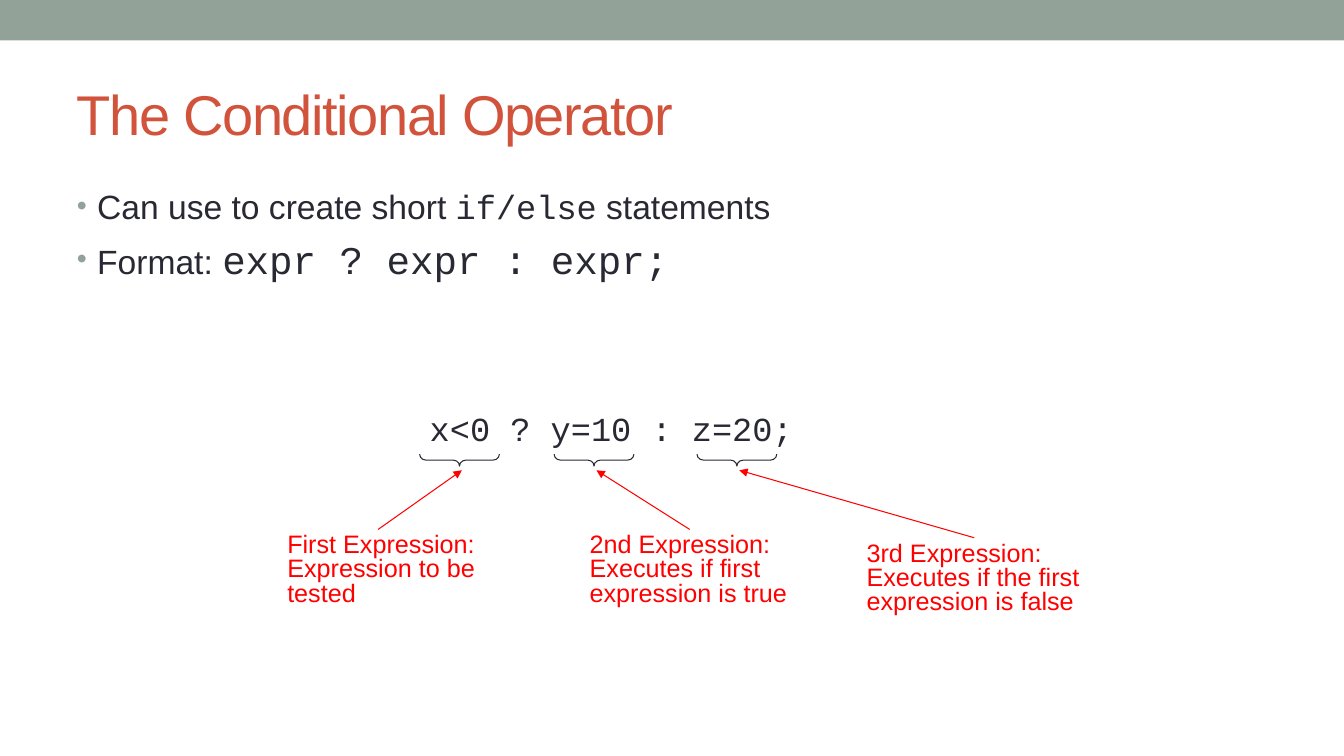
from dataclasses import dataclass
from typing import NamedTuple

from pptx import Presentation
from pptx.dml.color import RGBColor
from pptx.enum.shapes import MSO_CONNECTOR, MSO_SHAPE
from pptx.enum.text import MSO_ANCHOR
from pptx.oxml.ns import qn
from pptx.oxml.xmlchemy import OxmlElement
from pptx.shapes.autoshape import Shape
from pptx.slide import Slide
from pptx.text.text import Font
from pptx.util import Cm, Pt


@dataclass(frozen=True)
class Theme:
    band: str = "93A299"
    title: str = "D2533C"
    body: str = "292934"
    note: str = "FF0000"
    sans: str = "Arial"
    mono: str = "Courier New"
    title_size: int = 40
    body_size: int = 24
    format_size: int = 28
    note_size: int = 18
    line_width: float = 0.75


class Frame(NamedTuple):
    left: float
    top: float
    width: float
    height: float


class Piece(NamedTuple):
    text: str
    typeface: str
    size: int


class Operand(NamedTuple):
    brace_left: float
    note_frame: Frame
    note_lines: tuple[str, ...]


THEME = Theme()
SLIDE_WIDTH, SLIDE_HEIGHT = 33.87, 19.05
BRACE_TOP, BRACE_DEPTH, BRACE_SPAN = 10.59, 0.3, 2.01
TIP_OFFSET, TIP_TOP = 0.21, 11.85

BULLETS = (
    (
        Piece("Can use to create short ", THEME.sans, THEME.body_size),
        Piece("if/else", THEME.mono, THEME.body_size),
        Piece(" statements", THEME.sans, THEME.body_size),
    ),
    (
        Piece("Format: ", THEME.sans, THEME.body_size),
        Piece("expr ? expr : expr;", THEME.mono, THEME.format_size),
    ),
)

OPERANDS = (
    Operand(11.43, Frame(6.99, 13.34, 5.08, 2.12),
            ("First Expression:", "Expression to be", "tested")),
    Operand(14.82, Frame(14.61, 13.34, 5.54, 2.12),
            ("2nd Expression:", "Executes if first", "expression is true")),
    Operand(18.42, Frame(21.59, 13.55, 5.92, 2.12),
            ("3rd Expression:", "Executes if the first", "expression is false")),
)


def style_font(font: Font, typeface: str, size: int, color: str) -> None:
    font.name = typeface
    font.size = Pt(size)
    font.color.rgb = RGBColor.from_string(color)


def add_text(slide: Slide, frame: Frame, text: str, typeface: str, size: int, color: str) -> Shape:
    shape = slide.shapes.add_textbox(*map(Cm, frame))
    text_frame = shape.text_frame
    text_frame.word_wrap = True
    text_frame.margin_right = 0
    text_frame.text = text
    for paragraph in text_frame.paragraphs:
        for run in paragraph.runs:
            style_font(run.font, typeface, size, color)
    return shape


def add_band(slide: Slide) -> None:
    shape = slide.shapes.add_shape(MSO_SHAPE.RECTANGLE, 0, 0, Cm(SLIDE_WIDTH), Cm(1.02))
    shape.shadow.inherit = False
    shape.fill.solid()
    shape.fill.fore_color.rgb = RGBColor.from_string(THEME.band)
    shape.line.fill.background()


def add_title(slide: Slide) -> None:
    shape = add_text(slide, Frame(1.69, 1.48, 30.48, 2.74), "The Conditional Operator",
                     THEME.sans, THEME.title_size, THEME.title)
    shape.text_frame.vertical_anchor = MSO_ANCHOR.MIDDLE
    for run in shape.text_frame.paragraphs[0].runs:
        run.font._element.set("spc", "-100")


def add_bullets(slide: Slide) -> None:
    shape = slide.shapes.add_textbox(Cm(1.69), Cm(4.55), Cm(30.48), Cm(13.44))
    text_frame = shape.text_frame
    text_frame.word_wrap = True
    for index, pieces in enumerate(BULLETS):
        paragraph = text_frame.add_paragraph() if index else text_frame.paragraphs[0]
        if index:
            paragraph.space_before = Pt(7)
        properties = paragraph._p.get_or_add_pPr()
        properties.set("marL", str(Cm(0.51)))
        properties.set("indent", str(-Cm(0.51)))
        bullet_color = OxmlElement("a:buClr")
        color = OxmlElement("a:srgbClr")
        color.set("val", THEME.band)
        bullet_color.append(color)
        bullet_size = OxmlElement("a:buSzPct")
        bullet_size.set("val", "85000")
        bullet_font = OxmlElement("a:buFont")
        bullet_font.set("typeface", THEME.sans)
        bullet = OxmlElement("a:buChar")
        bullet.set("char", "•")
        for element in (bullet_color, bullet_size, bullet_font, bullet):
            properties.append(element)
        for piece in pieces:
            run = paragraph.add_run()
            run.text = piece.text
            style_font(run.font, piece.typeface, piece.size, THEME.body)


def add_brace(slide: Slide, left: float) -> None:
    shape = slide.shapes.add_shape(MSO_SHAPE.RIGHT_BRACE, Cm(left), Cm(BRACE_TOP),
                                   Cm(BRACE_DEPTH), Cm(BRACE_SPAN))
    shape.rotation = 90
    shape.shadow.inherit = False
    shape.adjustments[0] = 0.53
    shape.adjustments[1] = 0.5
    shape.fill.background()
    shape.line.color.rgb = RGBColor.from_string(THEME.body)
    shape.line.width = Pt(THEME.line_width)


def add_arrow(slide: Slide, note: Shape, tip_left: float) -> None:
    connector = slide.shapes.add_connector(MSO_CONNECTOR.STRAIGHT, note.left, note.top,
                                           Cm(tip_left), Cm(TIP_TOP))
    connector.begin_connect(note, 0)
    connector.line.color.rgb = RGBColor.from_string(THEME.note)
    connector.line.width = Pt(THEME.line_width)
    properties = connector.element.spPr
    arrowhead = OxmlElement("a:tailEnd")
    arrowhead.set("type", "triangle")
    properties.find(qn("a:ln")).append(arrowhead)
    properties.append(OxmlElement("a:effectLst"))


def add_operand(slide: Slide, operand: Operand) -> None:
    add_brace(slide, operand.brace_left)
    note = add_text(slide, operand.note_frame, "\n".join(operand.note_lines),
                    THEME.sans, THEME.note_size, THEME.note)
    for paragraph in note.text_frame.paragraphs:
        paragraph.line_spacing = 0.8
    add_arrow(slide, note, operand.brace_left + TIP_OFFSET)


def main() -> None:
    presentation = Presentation()
    presentation.slide_width = Cm(SLIDE_WIDTH)
    presentation.slide_height = Cm(SLIDE_HEIGHT)
    slide = presentation.slides.add_slide(presentation.slide_layouts[6])
    add_band(slide)
    add_title(slide)
    add_bullets(slide)
    add_text(slide, Frame(10.58, 10.16, 9.65, 1.27), "x<0 ? y=10 : z=20;",
             THEME.mono, THEME.body_size, THEME.body)
    for operand in OPERANDS:
        add_operand(slide, operand)
    presentation.save("out.pptx")


if __name__ == "__main__":
    main()
